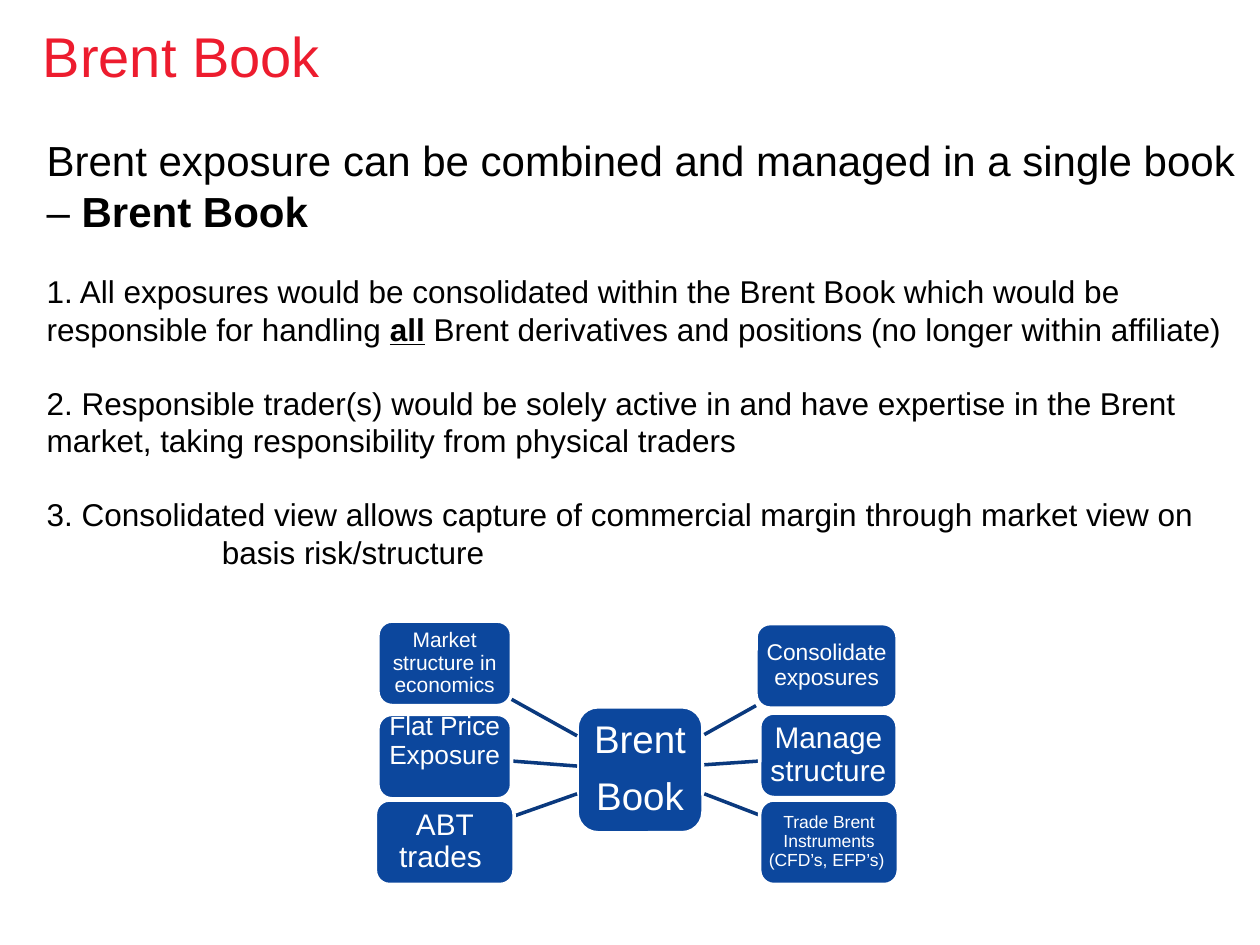
from lxml import etree
from pptx import Presentation
from pptx import util as u
from pptx.dml.color import RGBColor
from pptx.enum import shapes, text
from pptx.oxml.ns import qn

FONT = "Arial"
RED, BLACK, WHITE, BLUE, NAVY = "ED1C2E", "000000", "FFFFFF", "0C479D", "0A397E"
TITLE = "Brent Book"
INTRO = [("Brent exposure can be combined and managed in a single book – ", {}),
         ("Brent Book", {"bold": True})]
POINTS = [
    [("1. All exposures would be consolidated within the Brent Book which would be "
      "responsible for handling ", {}),
     ("all", {"bold": True, "underline": True}),
     (" Brent derivatives and positions (no longer within affiliate)", {})],
    [("2. Responsible trader(s) would be solely active in and have expertise in the Brent "
      "market, taking responsibility from physical traders", {})],
    [("3. Consolidated view allows capture of commercial margin through market view on "
      "basis risk/structure", {})],
]
HANGING = {2: 1.39}
BLANK_LINE = 20.7

HUB = (["Brent", "Book"], 22, 0.06, (4.58, 5.61, 1, 1))
NODE_HEIGHT = 0.67
NODES = [
    ("Consolidate exposures", 13, 0.04, (6, 4.95, 1.12), 0),
    ("Manage structure", 17, 0.05, (6.03, 5.66, 1.09), 0),
    ("Trade Brent Instruments (CFD’s, EFP’s) ", 10, 0.03, (6.03, 6.35, 1.1), 0),
    ("ABT trades ", 17, 0.05, (2.98, 6.35, 1.1), 0),
    ("Flat Price Exposure", 15, 0.04, (3, 5.67, 1.06), 0.24),
    ("Market structure in economics", 12, 0.03, (3, 4.93, 1.06), 0),
]
SPOKES = [
    (5.59, 5.83, 6, 5.6), (5.59, 6.07, 6.03, 6.04), (5.59, 6.3, 6.03, 6.47),
    (4.58, 6.3, 4.07, 6.48), (4.58, 6.08, 4.06, 6.04), (4.58, 5.84, 4.06, 5.55),
]


def color(value):
    return RGBColor.from_string(value)


def add_span(para, words, size, ink, bold=False, underline=False):
    span = para.add_run()
    span.text = words
    font = span.font
    font.name, font.size, font.bold, font.underline = FONT, u.Pt(size), bold, underline
    font.color.rgb = color(ink)


def place(shape, *bounds):
    shape.left, shape.top, shape.width, shape.height = map(u.Inches, bounds)


def set_margins(frame, left, top, right, bottom):
    frame.margin_left, frame.margin_top = u.Inches(left), u.Inches(top)
    frame.margin_right, frame.margin_bottom = u.Inches(right), u.Inches(bottom)


def prepare(frame, margins, anchor):
    set_margins(frame, *margins)
    frame.word_wrap = True
    frame.auto_size = text.MSO_AUTO_SIZE.NONE
    frame.vertical_anchor = anchor


def add_title(page):
    title = page.shapes.title
    place(title, 0.34, 0.17, 9, 0.83)
    prepare(title.text_frame, (0, 0, 0, 0), text.MSO_ANCHOR.TOP)
    para = title.text_frame.paragraphs[0]
    para.alignment = text.PP_ALIGN.LEFT
    add_span(para, TITLE, 32, RED)


def add_body(page):
    body = page.placeholders[1]
    place(body, 0.27, 0.71, 9.73, 5.69)
    frame = body.text_frame
    prepare(frame, (0.1, 0.36, 0.1, 0.05), text.MSO_ANCHOR.TOP)
    for index, spans in enumerate([INTRO] + POINTS):
        para = frame.paragraphs[0] if index == 0 else frame.add_paragraph()
        para.space_before = u.Pt(BLANK_LINE if index else 0)
        para.space_after = u.Pt(0)
        para.alignment = text.PP_ALIGN.LEFT
        hanging = u.Inches(HANGING.get(index - 1, 0))
        properties = para._p.get_or_add_pPr()
        properties.set("marL", str(hanging))
        properties.set("indent", str(-hanging))
        etree.SubElement(properties, qn("a:buNone"))
        for words, style in spans:
            add_span(para, words, 18 if index else 24, BLACK, **style)


def add_box(page, lines, size, margin, bounds, lift=0):
    box = page.shapes.add_shape(shapes.MSO_SHAPE.ROUNDED_RECTANGLE, *map(u.Inches, bounds))
    box.shadow.inherit = False
    box.fill.solid()
    box.fill.fore_color.rgb = color(BLUE)
    box.line.color.rgb = color(WHITE)
    box.line.width = u.Pt(2)
    frame = box.text_frame
    prepare(frame, (margin, margin, margin, margin + lift), text.MSO_ANCHOR.MIDDLE)
    for index, words in enumerate(lines):
        para = frame.paragraphs[0] if index == 0 else frame.add_paragraph()
        para.alignment = text.PP_ALIGN.CENTER
        para.line_spacing = 0.9
        para.space_after = u.Pt(round(0.4 * size, 1))
        add_span(para, words, size, WHITE)


def add_spoke(page, ends):
    spoke = page.shapes.add_connector(shapes.MSO_CONNECTOR.STRAIGHT, *map(u.Inches, ends))
    spoke.line.color.rgb = color(NAVY)
    spoke.line.width = u.Pt(2)
    etree.SubElement(spoke._element.spPr, qn("a:effectLst"))


def main():
    deck = Presentation()
    deck.slide_width, deck.slide_height = u.Inches(10), u.Inches(7.5)
    page = deck.slides.add_slide(deck.slide_layouts[1])
    add_title(page)
    add_body(page)
    add_box(page, *HUB)
    for ends in SPOKES:
        add_spoke(page, ends)
    for words, size, margin, bounds, lift in NODES:
        add_box(page, [words], size, margin, (*bounds, NODE_HEIGHT), lift)
    deck.save("out.pptx")


if __name__ == "__main__":
    main()
